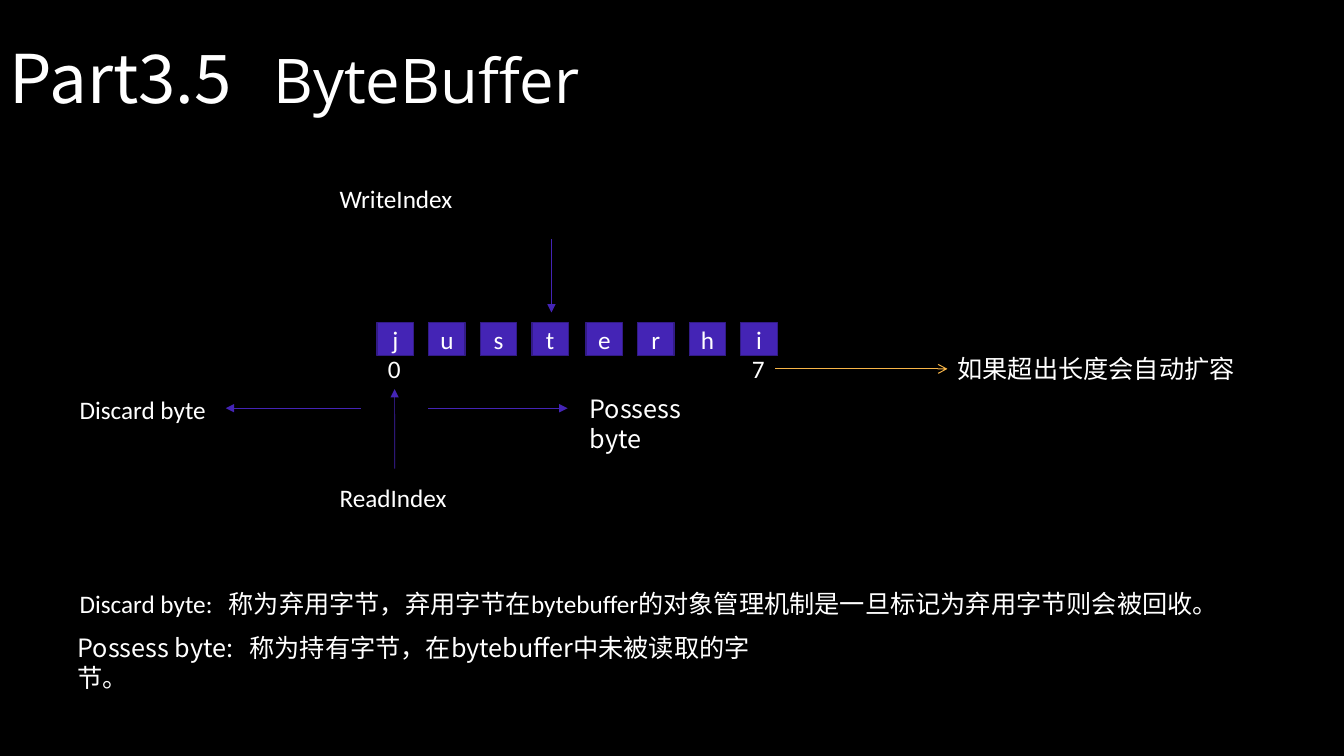
from dataclasses import dataclass

from lxml import etree
from pptx import Presentation
from pptx import util as u
from pptx.dml.color import RGBColor
from pptx.enum import shapes, text
from pptx.oxml.ns import qn

WIDTH, HEIGHT = u.Inches(13.3333), u.Inches(7.5)
WHITE, PURPLE, DARK_PURPLE, ORANGE, BLACK = "FFFFFF", "4424B5", "321B86", "F7B548", "000000"
CALIBRI, NOTO, OPEN_SANS = "Calibri", "Noto Sans CJK SC", "Open Sans"
LETTERS = "justerhi"
GROUP_SIZE = 4
FIRST_CELL, CELL_STEP, GROUP_STEP = 28.05, 3.84, 15.55
CELL_TOP, CELL_WIDTH, CELL_HEIGHT = 42.67, 2.72, 4.4
LABEL_HEIGHT = 5.33
INDEX_TOP = 46.13
BYTE_ROW = 54


@dataclass(frozen=True)
class Span:
    words: str
    font: str = CALIBRI
    size: float = 18


@dataclass(frozen=True)
class Label:
    spans: tuple[Span, ...]
    left: float
    top: float
    width: float
    height: float = LABEL_HEIGHT
    wrap: bool = False
    tab: float = 0


@dataclass(frozen=True)
class Arrow:
    start: tuple[float, float]
    end: tuple[float, float]
    color: str = PURPLE
    weight: float = 0.5
    head: str = "triangle"


TITLE = Label((Span("Part3.5\t", NOTO, 48), Span("ByteBuffer", OPEN_SANS, 44)),
              0, 5.33, 47.4, 11.07, True, 19.6)
FIRST_INDEX = Label((Span("0"),), 28.13, INDEX_TOP, 2.47)
LAST_INDEX = Label((Span("7"),), 55.2, INDEX_TOP, 2.47)
EXPANSION = Label((Span("如果超出长度会自动扩容"),), 70.5, INDEX_TOP, 22.35)
LABELS = (
    Label((Span("WriteIndex"),), 24.53, 23.6, 9.98),
    Label((Span("ReadIndex"),), 24.53, 63.2, 9.6),
    Label((Span("Discard byte"),), 5.18, 51.47, 11.03),
    Label((Span("Possess byte", NOTO),), 43.13, 51.33, 11.18, wrap=True),
    Label((Span("Discard byte:\t称为弃用字节，弃用字节在bytebuffer的对象管理机制是一旦标记为弃用字节则会被回收。"),),
          5.18, 77.2, 88, wrap=True, tab=11.1),
    Label((Span("Possess byte:\t称为持有字节，在bytebuffer中未被读取的字节。", NOTO),),
          5.03, 82.93, 52.88, wrap=True, tab=12.8),
)
WRITE_ARROW = Arrow((41.03, 31.6), (41.03, 41.33))
READ_ARROW = Arrow((29.37, 62), (29.37, 51.47))
POSSESS_ARROW = Arrow((31.88, BYTE_ROW), (42.23, BYTE_ROW))
DISCARD_ARROW = Arrow((26.85, BYTE_ROW), (16.8, BYTE_ROW))
EXPANSION_ARROW = Arrow((57.67, 48.8), (70.5, 48.8), ORANGE, 0.75, "arrow")


def across(share: float) -> int:
    return round(WIDTH * share / 100)


def down(share: float) -> int:
    return round(HEIGHT * share / 100)


def paint(target, color: str) -> None:
    target.rgb = RGBColor.from_string(color)


def add_span(para, span: Span) -> None:
    run = para.add_run()
    run.text = span.words
    run.font.size = u.Pt(span.size)
    run.font.name = span.font
    paint(run.font.fill.fore_color if run.font.fill.solid() else run.font.color, WHITE)
    east_asian = etree.SubElement(run.font._element, qn("a:ea"))
    east_asian.set("typeface", NOTO)


def add_label(page, label: Label):
    box = page.shapes.add_textbox(across(label.left), down(label.top),
                                  across(label.width), down(label.height))
    frame = box.text_frame
    frame.word_wrap = label.wrap
    para = frame.paragraphs[0]
    if label is TITLE:
        frame.vertical_anchor = text.MSO_ANCHOR.MIDDLE
        para.line_spacing = 0.9
    else:
        frame.auto_size = text.MSO_AUTO_SIZE.SHAPE_TO_FIT_TEXT
    if label.tab:
        stops = etree.SubElement(para._p.get_or_add_pPr(), qn("a:tabLst"))
        etree.SubElement(stops, qn("a:tab"), pos=str(across(label.tab)), algn="l")
    for span in label.spans:
        add_span(para, span)
    return box


def add_cell(page, place: int, letter: str) -> None:
    group, member = divmod(place, GROUP_SIZE)
    left = FIRST_CELL + group * GROUP_STEP + member * CELL_STEP
    cell = page.shapes.add_shape(shapes.MSO_SHAPE.RECTANGLE, across(left), down(CELL_TOP),
                                 across(CELL_WIDTH), down(CELL_HEIGHT))
    cell.shadow.inherit = False
    cell.fill.solid()
    paint(cell.fill.fore_color, PURPLE)
    paint(cell.line.color, DARK_PURPLE)
    cell.line.width = u.Pt(1)
    cell.text_frame.vertical_anchor = text.MSO_ANCHOR.MIDDLE
    para = cell.text_frame.paragraphs[0]
    para.alignment = text.PP_ALIGN.CENTER
    add_span(para, Span(letter))


def add_arrow(page, arrow: Arrow):
    line = page.shapes.add_connector(shapes.MSO_CONNECTOR.STRAIGHT,
                                     across(arrow.start[0]), down(arrow.start[1]),
                                     across(arrow.end[0]), down(arrow.end[1]))
    paint(line.line.color, arrow.color)
    line.line.width = u.Pt(arrow.weight)
    etree.SubElement(line.line._get_or_add_ln(), qn("a:tailEnd"), type=arrow.head)
    etree.SubElement(line._element.spPr, qn("a:effectLst"))
    return line


def main() -> None:
    deck = Presentation()
    deck.slide_width, deck.slide_height = WIDTH, HEIGHT
    page = deck.slides.add_slide(deck.slide_layouts[6])
    page.background.fill.solid()
    paint(page.background.fill.fore_color, BLACK)

    for place, letter in enumerate(LETTERS):
        add_cell(page, place, letter)
    for label in (TITLE, *LABELS):
        add_label(page, label)
    first_index = add_label(page, FIRST_INDEX)
    last_index = add_label(page, LAST_INDEX)
    expansion = add_label(page, EXPANSION)

    for arrow in (WRITE_ARROW, POSSESS_ARROW, DISCARD_ARROW):
        add_arrow(page, arrow)
    add_arrow(page, READ_ARROW).end_connect(first_index, 2)
    growth = add_arrow(page, EXPANSION_ARROW)
    growth.begin_connect(last_index, 3)
    growth.end_connect(expansion, 1)

    deck.save("out.pptx")


if __name__ == "__main__":
    main()
